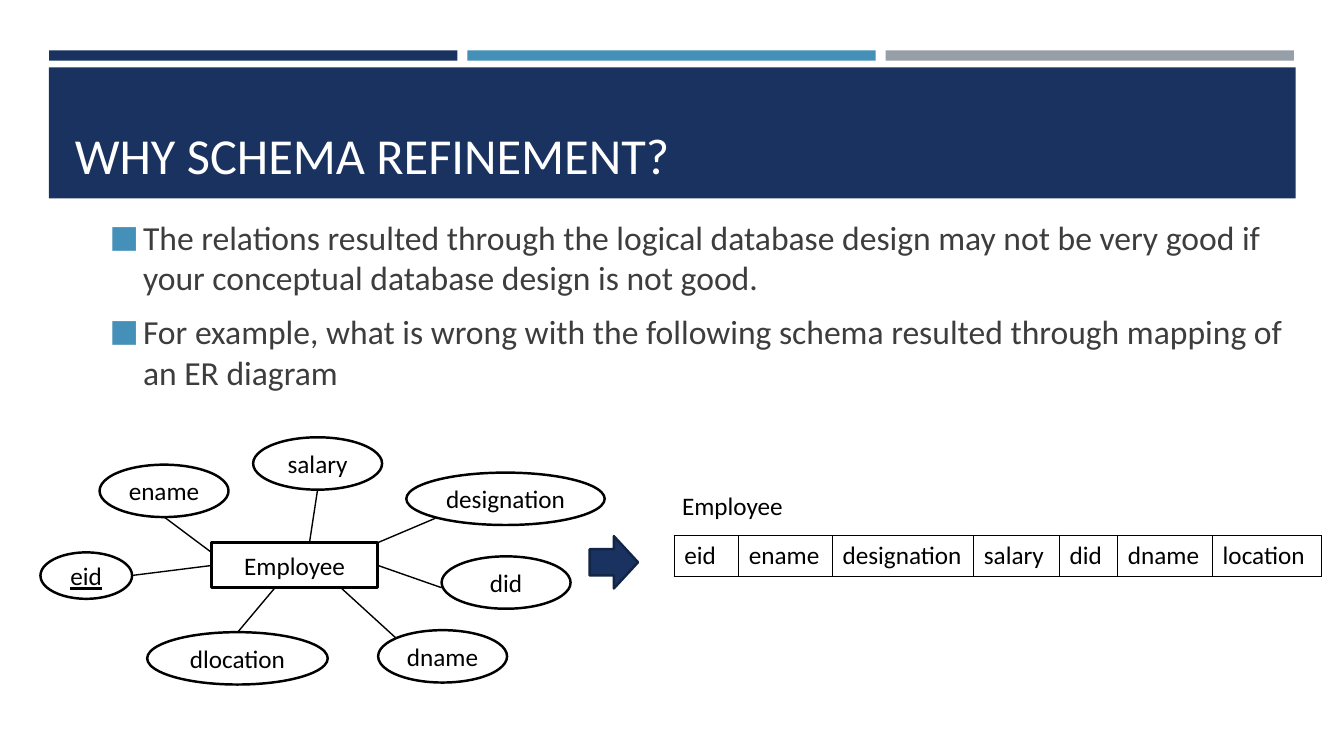
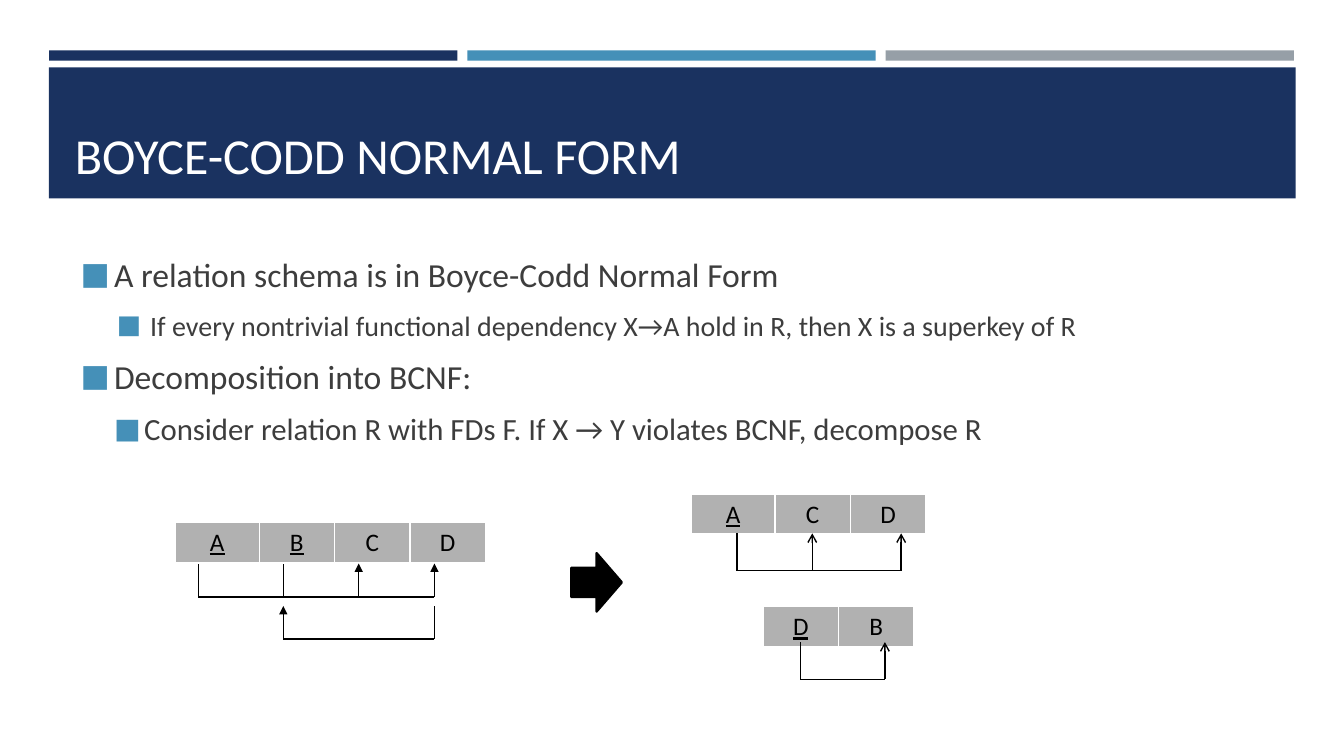
from dataclasses import dataclass

from lxml.etree import SubElement
from pptx import Presentation
from pptx.dml.color import RGBColor
from pptx.enum.shapes import MSO_CONNECTOR, MSO_SHAPE
from pptx.enum.text import MSO_ANCHOR, MSO_AUTO_SIZE, PP_ALIGN
from pptx.oxml.ns import qn
from pptx.shapes.autoshape import Shape
from pptx.slide import Slide, SlideLayout
from pptx.text.text import TextFrame, _Paragraph
from pptx.util import Cm, Pt

FONT = "Calibri"
NAVY, BLUE, GREY = "1A3260", "4590B8", "969FA7"
EDGE, INK, CELL = "132547", "3D3D3D", "B1B1B1"
BLACK, WHITE = "000000", "FFFFFF"


@dataclass(frozen=True)
class Box:
    """Hold a place and a size in centimetres."""
    left: float
    top: float
    width: float
    height: float

    def spans(self) -> tuple[Cm, Cm, Cm, Cm]:
        """Return the four lengths for a shape call."""
        return Cm(self.left), Cm(self.top), Cm(self.width), Cm(self.height)


@dataclass(frozen=True)
class Trait:
    """Describe an oval attribute and its line to the entity."""
    name: str
    box: Box
    start: tuple[float, float]
    end: tuple[float, float]
    under: bool = False


@dataclass(frozen=True)
class Point:
    """Describe one bulleted line."""
    text: str
    size: float = 24
    level: int = 0
    indent: float = 0.84
    hang: float = 0.84


@dataclass(frozen=True)
class Grid:
    """Describe a one-row table of column names."""
    left: float
    top: float
    names: tuple[str, ...]
    widths: tuple[float, ...]
    keys: str = ""


@dataclass(frozen=True)
class Fork:
    """Describe a dependency bracket with plain and arrowed stems."""
    top: float
    base: float
    stems: tuple[float, ...]
    heads: tuple[float, ...]
    tip: str


BANNER = Box(1.23, 1.7, 31.42, 3.3)
TITLE = Box(1.63, 1.96, 30.63, 2.82)
ENTITY = Box(5.33, 13.67, 4.19, 1.14)
ROW = 1.04

TRAITS = (
    Trait("eid", Box(1.02, 13.92, 2.31, 1.17), (3.33, 14.5), (5.33, 14.25), True),
    Trait("ename", Box(2.51, 11.71, 3.25, 1.32), (4.14, 13.03), (5.33, 13.92)),
    Trait("salary", Box(6.38, 11.02, 3.25, 1.32), (8, 12.36), (7.8, 13.67)),
    Trait("designation", Box(10.24, 11.91, 5, 1.32), (10.97, 13.06), (9.53, 13.67)),
    Trait("did", Box(11.13, 14.02, 3.25, 1.32), (11.13, 14.81), (9.53, 14.25)),
    Trait("dname", Box(9.53, 15.88, 3.25, 1.32), (9.98, 16.08), (8.59, 14.81)),
    Trait("dlocation", Box(3.71, 15.93, 4.55, 1.32), (5.99, 15.93), (6.93, 14.81)),
)
STAFF = Grid(16.99, 13.49,
             ("eid", "ename", "designation", "salary", "did", "dname", "location"),
             (1.63, 2.36, 3.56, 2.16, 1.47, 2.39, 2.74))
WHY = (
    Point("The relations resulted through the logical database design may not be "
          "very good if your conceptual database design is not good."),
    Point("For example, what is wrong with the following schema resulted through "
          "mapping of an ER diagram"),
)
RULES = (
    Point("A relation schema is in Boyce-Codd Normal Form"),
    Point("If every nontrivial functional dependency X→A hold in R, "
          "then X is a superkey of R", 20, 1, 1.75),
    Point("Decomposition into BCNF:"),
    Point("Consider relation R with FDs F. If X → Y violates BCNF, decompose R",
          22, 1, 1.6, 0.76),
)
GRIDS = (
    Grid(4.42, 13.16, ("A", "B", "C", "D"), (2.11, 1.9, 1.9, 1.9), "AB"),
    Grid(17.42, 12.45, ("A", "C", "D"), (2.11, 1.9, 1.9), "A"),
    Grid(19.23, 15.29, ("D", "B"), (1.9, 1.9), "D"),
)
FORKS = (
    Fork(14.2, 15.04, (5, 7.14), (9.04, 10.95), "triangle"),
    Fork(15.27, 16.1, (10.95,), (7.14,), "triangle"),
    Fork(13.44, 14.38, (18.57,), (20.47, 22.71), "arrow"),
    Fork(16.18, 17.12, (20.17,), (22.3,), "arrow"),
)


def paint(code: str) -> RGBColor:
    """Turn a hex string into a colour."""
    return RGBColor.from_string(code)


def write(frame: TextFrame, text: str, *, size: float = 18, color: str = BLACK,
          under: bool = False, align: PP_ALIGN = PP_ALIGN.LEFT) -> _Paragraph:
    """Add a formatted paragraph to a text frame."""
    para = frame.add_paragraph() if frame.text else frame.paragraphs[0]
    para.alignment = align
    run = para.add_run()
    run.text = text
    font = run.font
    font.name, font.size, font.bold, font.underline = FONT, Pt(size), False, under
    font.color.rgb = paint(color)
    return para


def draw(slide: Slide, kind: MSO_SHAPE, box: Box, fill: str,
         edge: str | None = None) -> Shape:
    """Draw a flat shape, with an outline if an edge colour is given."""
    shape = slide.shapes.add_shape(kind, *box.spans())
    shape.shadow.inherit = False
    shape.fill.solid()
    shape.fill.fore_color.rgb = paint(fill)
    if edge:
        shape.line.color.rgb = paint(edge)
        shape.line.width = Pt(1.75)
    else:
        shape.line.fill.background()
    return shape


def label(slide: Slide, kind: MSO_SHAPE, box: Box, text: str,
          under: bool = False) -> None:
    """Draw a white outlined shape with a centred name."""
    frame = draw(slide, kind, box, WHITE, BLACK).text_frame
    frame.word_wrap = False
    frame.vertical_anchor = MSO_ANCHOR.MIDDLE
    write(frame, text, under=under, align=PP_ALIGN.CENTER)


def link(slide: Slide, start: tuple[float, float], end: tuple[float, float],
         tip: str = "") -> None:
    """Draw a thin black line, with an arrowhead at its end if named."""
    line = slide.shapes.add_connector(
        MSO_CONNECTOR.STRAIGHT, *(Cm(n) for n in (*start, *end)))
    line.line.color.rgb = paint(BLACK)
    line.line.width = Pt(1)
    if tip:
        SubElement(line.get_or_add_ln(), qn("a:tailEnd"), type=tip)
    SubElement(line.element.spPr, qn("a:effectLst"))


def fork(slide: Slide, item: Fork) -> None:
    """Draw a dependency bracket."""
    ends = item.stems + item.heads
    link(slide, (min(ends), item.base), (max(ends), item.base))
    for spot in ends:
        tip = item.tip if spot in item.heads else ""
        link(slide, (spot, item.base), (spot, item.top), tip)


def table(slide: Slide, grid: Grid, edge: str, foot: float,
          fill: str | None = None, align: PP_ALIGN = PP_ALIGN.LEFT) -> None:
    """Draw a one-row table with ruled cells and a foot line width."""
    box = Box(grid.left, grid.top, sum(grid.widths), ROW)
    body = slide.shapes.add_table(1, len(grid.names), *box.spans()).table
    body.first_row = body.horz_banding = False
    for col, (name, width) in enumerate(zip(grid.names, grid.widths)):
        body.columns[col].width = Cm(width)
        cell = body.cell(0, col)
        write(cell.text_frame, name, under=name in grid.keys, align=align)
        if fill:
            cell.fill.solid()
            cell.fill.fore_color.rgb = paint(fill)
        else:
            cell.fill.background()
        props = cell._tc.get_or_add_tcPr()
        for rank, side in enumerate("LRTB"):
            thick = Pt(foot if side == "B" else 1)
            rule = SubElement(props, qn(f"a:ln{side}"), w=str(int(thick)))
            tint = SubElement(rule, qn("a:solidFill"))
            SubElement(tint, qn("a:srgbClr"), val=edge)
            props.insert(rank, rule)


def place(shape: Shape, box: Box, anchor: MSO_ANCHOR) -> TextFrame:
    """Move a placeholder and return its text frame."""
    shape.left, shape.top, shape.width, shape.height = box.spans()
    frame = shape.text_frame
    frame.word_wrap = True
    frame.auto_size = MSO_AUTO_SIZE.NONE
    frame.vertical_anchor = anchor
    return frame


def bullet(frame: TextFrame, item: Point, first: bool) -> None:
    """Add a line with a square bullet."""
    para = write(frame, item.text, size=item.size, color=INK)
    para.level = item.level
    para.space_before = Pt(0 if first else 4)
    para.space_after = Pt(6)
    props = para._p.get_or_add_pPr()
    props.set("marL", str(int(Cm(item.indent))))
    props.set("indent", str(-int(Cm(item.hang))))
    SubElement(SubElement(props, qn("a:buClr")), qn("a:srgbClr"), val=BLUE)
    SubElement(props, qn("a:buSzPct"), val="92000")
    SubElement(props, qn("a:buFont"), typeface=FONT)
    SubElement(props, qn("a:buChar"), char="■")


def dress(slide: Slide, layout: SlideLayout) -> None:
    """Put the shared bands on the layout behind its text."""
    for spot in list(layout.placeholders):
        if spot.placeholder_format.idx >= 10:
            layout.shapes.element.remove(spot.element)
    bands = [(Box(1.24 + 10.54 * i, 1.27, 10.29, 0.26), hue)
             for i, hue in enumerate((NAVY, BLUE, GREY))]
    for box, hue in (*bands, (BANNER, NAVY)):
        band = draw(slide, MSO_SHAPE.RECTANGLE, box, hue)
        layout.shapes.element.insert(2, band.element)


def start(slide: Slide, title: str, box: Box, items: tuple[Point, ...]) -> None:
    """Fill the title and the list of a slide."""
    head = place(slide.shapes.title, TITLE, MSO_ANCHOR.BOTTOM)
    write(head, title, size=36, color=WHITE)
    body = place(slide.placeholders[1], box, MSO_ANCHOR.TOP)
    for rank, item in enumerate(items):
        bullet(body, item, rank == 0)


def schema(slide: Slide) -> None:
    """Build the slide on schema refinement."""
    start(slide, "WHY SCHEMA REFINEMENT?", Box(2.51, 5.33, 30.63, 5.08), WHY)
    label(slide, MSO_SHAPE.RECTANGLE, ENTITY, "Employee")
    for item in TRAITS:
        label(slide, MSO_SHAPE.OVAL, item.box, item.name, item.under)
        link(slide, item.start, item.end)
    table(slide, STAFF, BLACK, 1)
    note = slide.shapes.add_textbox(*Box(16.94, 12.24, 4.9, 1.02).spans())
    note.text_frame.word_wrap = True
    write(note.text_frame, "Employee")
    draw(slide, MSO_SHAPE.RIGHT_ARROW, Box(14.86, 13.51, 1.22, 1.32), NAVY, EDGE)


def normal(slide: Slide) -> None:
    """Build the slide on Boyce-Codd normal form."""
    start(slide, "BOYCE-CODD NORMAL FORM", Box(1.78, 6.27, 30.63, 5.6), RULES)
    for grid in GRIDS:
        table(slide, grid, WHITE, 3, CELL, PP_ALIGN.CENTER)
    for item in FORKS:
        fork(slide, item)
    draw(slide, MSO_SHAPE.RIGHT_ARROW, Box(14.4, 13.94, 1.27, 1.47), BLACK, BLACK)


def main() -> None:
    """Build and save the deck."""
    deck = Presentation()
    deck.slide_width, deck.slide_height = Cm(33.87), Cm(19.05)
    layout = deck.slide_layouts[1]
    first, second = (deck.slides.add_slide(layout) for _ in range(2))
    dress(first, layout)
    schema(first)
    normal(second)
    deck.save("out.pptx")


if __name__ == "__main__":
    main()
